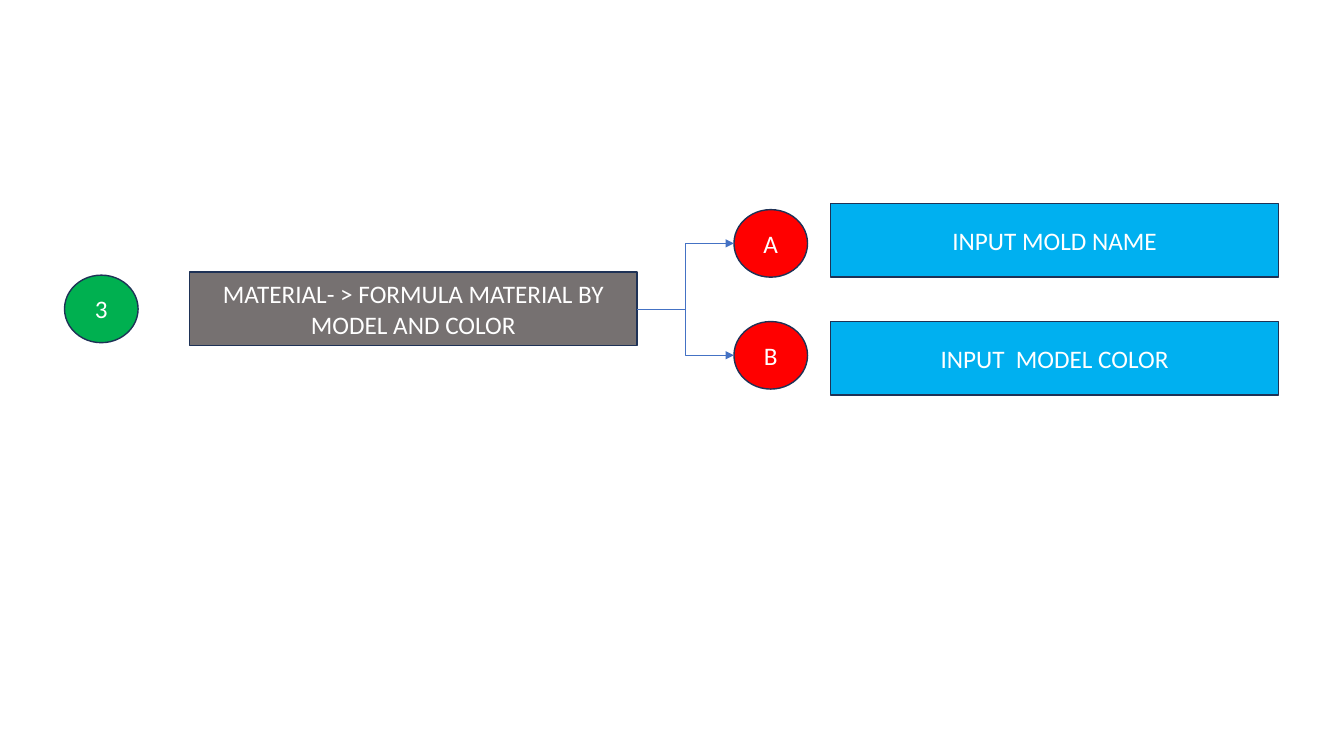
from dataclasses import dataclass

from lxml.etree import SubElement
from pptx import Presentation
from pptx.dml.color import RGBColor
from pptx.enum.shapes import MSO_CONNECTOR, MSO_SHAPE
from pptx.enum.text import MSO_ANCHOR, PP_ALIGN
from pptx.oxml.ns import qn
from pptx.util import Inches, Pt


@dataclass(frozen=True)
class Theme:
    font: str = "Calibri"
    size: int = 18
    text: str = "FFFFFF"
    outline: str = "1E3256"
    arrow: str = "4472C4"
    menu: str = "767171"
    step: str = "00B050"
    letter: str = "FF0000"
    field: str = "00B0F0"


THEME = Theme()
BOX_SIZE = (4.44, 0.73)
BADGE_SIZE = (0.73, 0.67)


def add_label(s, kind, left, top, size, text, fill):
    sp = s.shapes.add_shape(kind, Inches(left), Inches(top), *map(Inches, size))
    sp.shadow.inherit = False
    sp.fill.solid()
    sp.fill.fore_color.rgb = RGBColor.from_string(fill)
    sp.line.color.rgb = RGBColor.from_string(THEME.outline)
    sp.line.width = Pt(1)
    tf = sp.text_frame
    tf.word_wrap = True
    tf.vertical_anchor = MSO_ANCHOR.MIDDLE
    p = tf.paragraphs[0]
    p.text = text
    p.alignment = PP_ALIGN.CENTER
    p.font.name = THEME.font
    p.font.size = Pt(THEME.size)
    p.font.color.rgb = RGBColor.from_string(THEME.text)
    return sp


def add_box(s, left, top, text, fill):
    return add_label(s, MSO_SHAPE.RECTANGLE, left, top, BOX_SIZE, text, fill)


def add_badge(s, left, top, text, fill):
    return add_label(s, MSO_SHAPE.OVAL, left, top, BADGE_SIZE, text, fill)


def add_arrow(s, source, target):
    cxn = s.shapes.add_connector(
        MSO_CONNECTOR.ELBOW,
        source.left + source.width, source.top + source.height // 2,
        target.left, target.top + target.height // 2,
    )
    cxn.line.color.rgb = RGBColor.from_string(THEME.arrow)
    cxn.line.width = Pt(0.5)
    SubElement(cxn.line._get_or_add_ln(), qn("a:tailEnd"), type="triangle")
    SubElement(cxn._element.spPr, qn("a:effectLst"))


def main():
    prs = Presentation()
    prs.slide_width = Inches(13.33)
    prs.slide_height = Inches(7.5)
    s = prs.slides.add_slide(prs.slide_layouts[6])

    add_badge(s, 0.64, 2.73, "3", THEME.step)
    menu = add_box(s, 1.88, 2.7, "MATERIAL- > FORMULA MATERIAL BY MODEL AND COLOR", THEME.menu)

    inputs = [
        ("A", 2.08, "INPUT MOLD NAME", 2.02),
        ("B", 3.19, "INPUT  MODEL COLOR", 3.19),
    ]
    for letter, badge_top, text, box_top in inputs:
        badge = add_badge(s, 7.28, badge_top, letter, THEME.letter)
        add_box(s, 8.24, box_top, text, THEME.field)
        add_arrow(s, menu, badge)

    prs.save("out.pptx")


if __name__ == "__main__":
    main()
